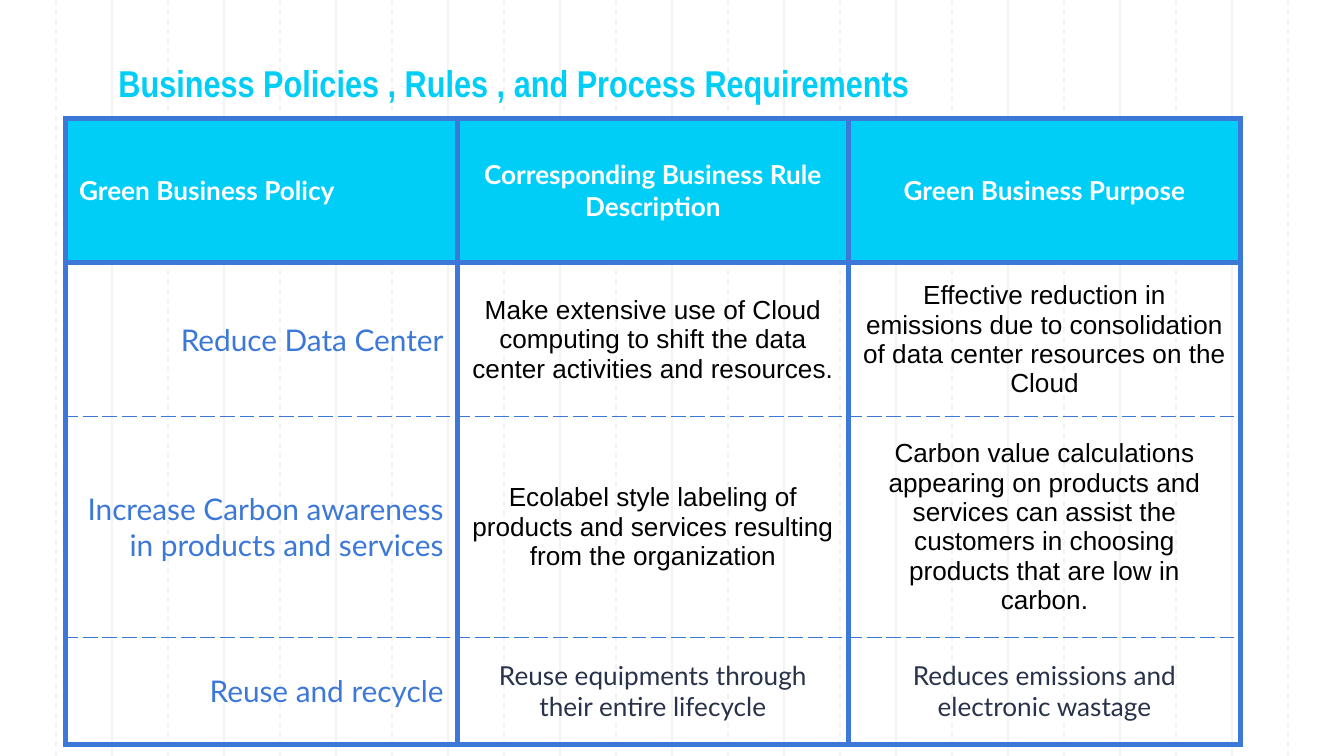
from lxml import etree
from pptx import Presentation
from pptx.dml.color import RGBColor
from pptx.enum.dml import MSO_LINE
from pptx.enum.shapes import MSO_CONNECTOR
from pptx.enum.text import MSO_ANCHOR, PP_ALIGN
from pptx.oxml.ns import qn
from pptx.util import Cm, Pt

STRAIGHT = MSO_CONNECTOR.STRAIGHT
DASH = MSO_LINE.DASH
MIDDLE, BOTTOM = MSO_ANCHOR.MIDDLE, MSO_ANCHOR.BOTTOM
LEFT, CENTER, RIGHT = PP_ALIGN.LEFT, PP_ALIGN.CENTER, PP_ALIGN.RIGHT

CYAN, BLUE, WHITE, BLACK = "00CEF6", "3C78D8", "FFFFFF", "000000"
NAVY, GRID = "28324A", "F3F3F3"
WIDTH, HEIGHT = 25.4, 14.29


def color(value):
    return RGBColor.from_string(value)


def add_border(cell, position, side, points, dash):
    """Draw one cell border; position keeps the sides in schema order."""
    line = etree.Element(qn("a:" + side), w=str(Pt(points)))
    fill = etree.SubElement(line, qn("a:solidFill"))
    etree.SubElement(fill, qn("a:srgbClr"), val=BLUE)
    etree.SubElement(line, qn("a:prstDash"), val=dash)
    cell._tc.get_or_add_tcPr().insert(position, line)


presentation = Presentation()
presentation.slide_width, presentation.slide_height = Cm(WIDTH), Cm(HEIGHT)
slide = presentation.slides.add_slide(presentation.slide_layouts[6])

# Background grid: solid and dashed vertical lines in turn
GRID_STEP = WIDTH / 24
for number in range(1, 24):
    x = Cm(number * GRID_STEP)
    connector = slide.shapes.add_connector(STRAIGHT, x, 0, x, Cm(HEIGHT))
    connector.line.color.rgb = color(GRID)
    connector.line.width = Pt(0.75)
    if number % 2:
        connector.line.dash_style = DASH
    etree.SubElement(connector._element.spPr, qn("a:effectLst"))

# Title
title = slide.shapes.add_textbox(0, 0, Cm(19.43), Cm(2.24))
frame = title.text_frame
frame.word_wrap = True
frame.vertical_anchor = BOTTOM
frame.margin_top = frame.margin_bottom = Cm(0.25)
paragraph = frame.paragraphs[0]
paragraph.text = "Business Policies , Rules , and Process Requirements"
paragraph.alignment = CENTER
paragraph.font.name = "Arial Narrow"
paragraph.font.size = Pt(20)
paragraph.font.bold = True
paragraph.font.color.rgb = color(CYAN)

# Policy table: height, font and colour of the text columns, then the texts
rows = [
    (2.72, "Lato", WHITE,
     ["Green Business Policy",
      "Corresponding Business Rule Description",
      "Green Business Purpose"]),
    (2.92, "Arial", BLACK,
     ["Reduce Data Center",
      "Make extensive use of Cloud computing to shift the data center "
      "activities and resources.",
      "Effective reduction in emissions due to consolidation of data center "
      "resources on the Cloud"]),
    (4.17, "Arial", BLACK,
     ["Increase Carbon awareness in products and services",
      "Ecolabel style labeling of products and services resulting from the "
      "organization",
      "Carbon value calculations appearing on products and services can "
      "assist the customers in choosing products that are low in carbon."]),
    (2.03, "Lato", NAVY,
     ["Reuse and recycle",
      "Reuse equipments through their entire lifecycle",
      "Reduces emissions and electronic wastage"]),
]
table = slide.shapes.add_table(len(rows), 3, Cm(1.24), Cm(2.24), Cm(22.2),
                               Cm(sum(row[0] for row in rows))).table
table.first_row = table.horz_banding = False
for column in table.columns:
    column.width = Cm(7.4)

THICK, THIN = (3, "solid"), (0.75, "dash")
for row_index, (height, font_name, text_color, texts) in enumerate(rows):
    table.rows[row_index].height = Cm(height)
    header = row_index == 0
    top = THICK if row_index < 2 else THIN
    bottom = THIN if row_index in (1, 2) else THICK
    borders = [("lnL", THICK), ("lnR", THICK), ("lnT", top), ("lnB", bottom)]

    for column_index, text in enumerate(texts):
        cell = table.cell(row_index, column_index)
        cell.vertical_anchor = MIDDLE
        cell.margin_top = cell.margin_bottom = Cm(0.18)
        for position, (side, (points, dash)) in enumerate(borders):
            add_border(cell, position, side, points, dash)
        if header:
            cell.fill.solid()
            cell.fill.fore_color.rgb = color(CYAN)
        else:
            cell.fill.background()

        policy = column_index == 0 and not header
        paragraph = cell.text_frame.paragraphs[0]
        paragraph.text = text
        if column_index:
            paragraph.alignment = CENTER
        else:
            paragraph.alignment = RIGHT if policy else LEFT
        paragraph.font.name = "Lato" if policy else font_name
        paragraph.font.size = Pt(16 if policy else 14)
        paragraph.font.bold = header
        paragraph.font.color.rgb = color(BLUE if policy else text_color)

presentation.save("out.pptx")
